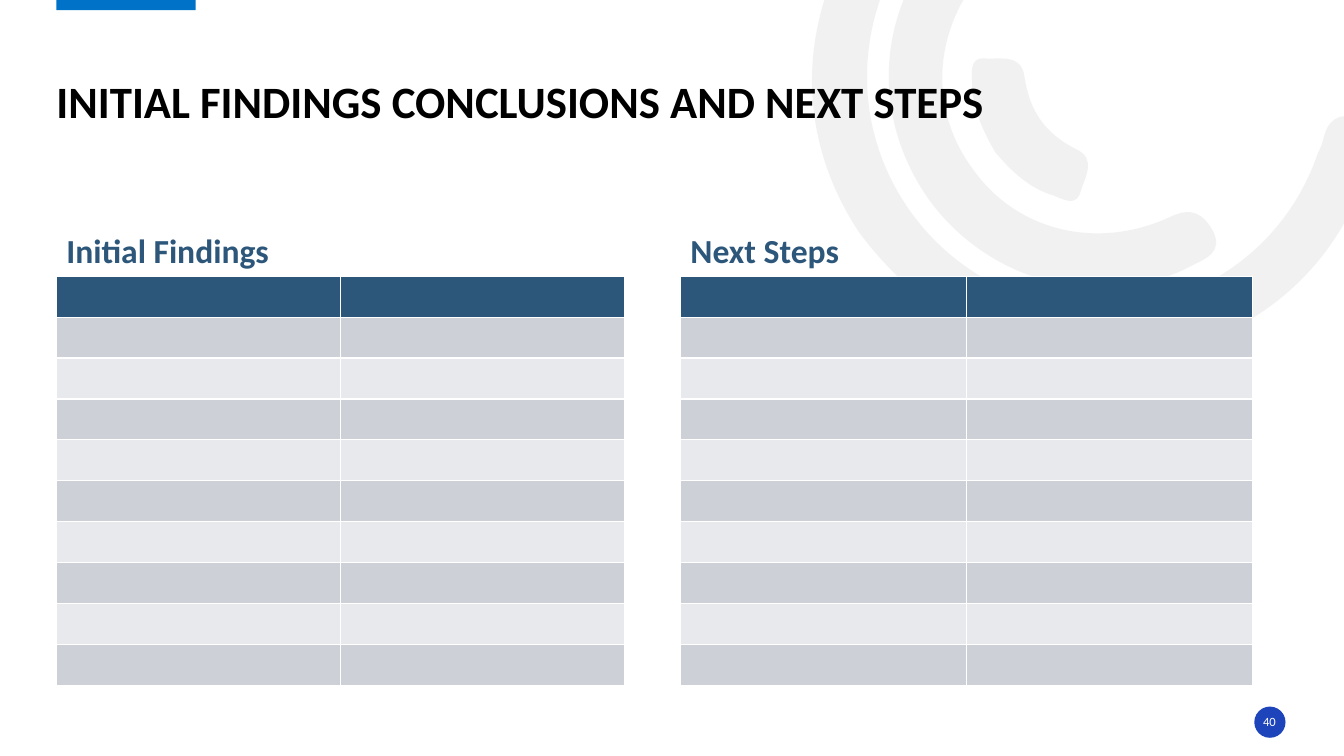
import math

from lxml import etree
from pptx import Presentation
from pptx.dml.color import RGBColor
from pptx.enum import shapes, text
from pptx.oxml import ns
from pptx.util import Inches, Pt

BLACK = RGBColor(0x00, 0x00, 0x00)
WHITE = RGBColor(0xFF, 0xFF, 0xFF)
NAVY = RGBColor(0x2C, 0x56, 0x7A)
BAR_BLUE = RGBColor(0x00, 0x72, 0xC7)
BADGE_BLUE = RGBColor(0x1E, 0x44, 0xBC)
ARC_GREY = RGBColor(0xE7, 0xE6, 0xE6)
BAND_DARK = RGBColor(0xCD, 0xD1, 0xD7)
BAND_LIGHT = RGBColor(0xE8, 0xE9, 0xEC)
FONT = "Calibri"
ARC_ROTATION = 144.2
ROWS, COLUMNS = 10, 2
TABLE_TOP, TABLE_HEIGHT = 2.74, 4.06

presentation = Presentation()
presentation.slide_width = Inches(13.33)
presentation.slide_height = Inches(7.5)
slide = presentation.slides.add_slide(presentation.slide_layouts[6])


def style_shape(shape, color):
    shape.shadow.inherit = False
    shape.fill.solid()
    shape.fill.fore_color.rgb = color
    shape.line.fill.background()


def add_text(box, words, size, color, bold=False, inset=0.0):
    shape = slide.shapes.add_textbox(*(Inches(length) for length in box))
    frame = shape.text_frame
    frame.margin_left = frame.margin_right = Inches(inset)
    frame.margin_top = frame.margin_bottom = Inches(inset / 2)
    frame.word_wrap = True
    frame.vertical_anchor = text.MSO_ANCHOR.BOTTOM
    paragraph = frame.paragraphs[0]
    paragraph.line_spacing = 0.9
    run = paragraph.add_run()
    run.text = words
    run.font.name = FONT
    run.font.size = Pt(size)
    run.font.bold = bold
    run.font.color.rgb = color
    return frame


# Background arcs: a frame, then a start point and Bezier segments as they lie on the slide
arcs = [
    ((8.13, -2.02, 4.85, 6),
     [(8.51, 2.29),
      (7.99, 1.49), (7.87, 0.5), (8.38, -0.5),
      (8.9, -1.52), (9.76, -2.03), (10.9, -2.07),
      (11.05, -2.07), (11.21, -2.1), (11.31, -1.95),
      (11.44, -1.75), (11.27, -1.54), (10.98, -1.54),
      (9.67, -1.54), (8.65, -0.59), (8.6, 0.68),
      (8.56, 1.81), (9.36, 2.81), (10.46, 3.02),
      (11.6, 3.24), (12.7, 2.61), (13.07, 1.52),
      (13.09, 1.48), (13.11, 1.44), (13.12, 1.4),
      (13.16, 1.19), (13.27, 1.11), (13.49, 1.17),
      (13.73, 1.24), (13.67, 1.41), (13.61, 1.56),
      (13.34, 2.45), (12.78, 3.07), (11.91, 3.41),
      (10.7, 3.87), (9.36, 3.45), (8.51, 2.29)]),
    ((9.01, -0.78, 2.13, 4.26),
     [(9.22, 1.99),
      (8.62, 1.15), (8.69, 0.07), (9.4, -0.68),
      (9.51, -0.79), (9.62, -0.95), (9.8, -0.78),
      (9.95, -0.64), (9.97, -0.5), (9.79, -0.32),
      (9.25, 0.26), (9.2, 1.08), (9.65, 1.68),
      (10.08, 2.29), (10.88, 2.49), (11.61, 2.15),
      (11.82, 2.05), (11.93, 2.12), (12.03, 2.29),
      (12.13, 2.5), (11.97, 2.56), (11.83, 2.63),
      (10.96, 3.1), (9.83, 2.82), (9.22, 1.99)]),
    ((9.8, 0.37, 0.78, 1.83),
     [(9.87, 1.51),
      (9.75, 1.3), (9.64, 1.07), (9.64, 0.82),
      (9.64, 0.73), (9.61, 0.57), (9.76, 0.58),
      (9.92, 0.59), (10.13, 0.53), (10.16, 0.76),
      (10.21, 1.1), (10.36, 1.32), (10.67, 1.48),
      (10.88, 1.57), (10.76, 1.76), (10.72, 1.89),
      (10.68, 2.06), (10.55, 1.98), (10.45, 1.94),
      (10.21, 1.87), (10.03, 1.7), (9.87, 1.51)]),
]
cosine = math.cos(math.radians(ARC_ROTATION))
sine = math.sin(math.radians(ARC_ROTATION))
for (left, top, width, height), points in arcs:
    # Turn the points back into the unrotated frame
    local = []
    for x, y in points:
        dx, dy = x - left - width / 2, y - top - height / 2
        local.append((Inches(width / 2 + dx * cosine + dy * sine),
                      Inches(height / 2 - dx * sine + dy * cosine)))
    builder = slide.shapes.build_freeform(*local[0])
    builder.add_line_segments(local[1:], close=True)
    shape = builder.convert_to_shape()
    shape.left, shape.top = Inches(left), Inches(top)
    shape.width, shape.height = Inches(width), Inches(height)
    shape.rotation = ARC_ROTATION
    style_shape(shape, ARC_GREY)

    # Curved segments and transparency
    outline = shape._element.find(".//" + ns.qn("a:pathLst"))[0]
    for child in list(outline):
        outline.remove(child)
    outline.set("w", str(shape.width))
    outline.set("h", str(shape.height))
    segments = [("a:moveTo", local[:1])]
    segments += [("a:cubicBezTo", local[i:i + 3]) for i in range(1, len(local), 3)]
    for tag, corners in segments:
        segment = etree.SubElement(outline, ns.qn(tag))
        for x, y in corners:
            etree.SubElement(segment, ns.qn("a:pt"), x=str(x), y=str(y))
    etree.SubElement(outline, ns.qn("a:close"))
    color_element = shape._element.spPr.find(ns.qn("a:solidFill"))[0]
    etree.SubElement(color_element, ns.qn("a:alpha"), val="53000")

# Accent bar at the top edge
bar = slide.shapes.add_shape(shapes.MSO_SHAPE.RECTANGLE,
                             Inches(0.56), Inches(-0.02), Inches(1.38), Inches(0.12))
style_shape(bar, BAR_BLUE)

# Slide number badge
badge = slide.shapes.add_shape(shapes.MSO_SHAPE.OVAL,
                               Inches(12.44), Inches(7.01), Inches(0.31), Inches(0.31))
style_shape(badge, BADGE_BLUE)
number = add_text((12.43, 7.06, 0.32, 0.2), "40", 9, WHITE)
number.vertical_anchor = text.MSO_ANCHOR.MIDDLE
number.paragraphs[0].alignment = text.PP_ALIGN.CENTER
number.paragraphs[0].line_spacing = 1.0

# Title
add_text((0.56, 0.26, 12.19, 1.01), "INITIAL FINDINGS CONCLUSIONS AND NEXT STEPS",
         32, BLACK, bold=True)

# Headed tables; the default table style draws the white borders
for heading, left, width in [("Initial Findings", 0.56, 5.64), ("Next Steps", 6.75, 5.67)]:
    add_text((left, 1.84, width, 0.9), heading, 24, NAVY, bold=True, inset=0.1)
    table = slide.shapes.add_table(ROWS, COLUMNS, Inches(left), Inches(TABLE_TOP),
                                   Inches(width), Inches(TABLE_HEIGHT)).table
    for row in range(ROWS):
        for column in range(COLUMNS):
            fill = table.cell(row, column).fill
            fill.solid()
            if row == 0:
                fill.fore_color.rgb = NAVY
            else:
                fill.fore_color.rgb = BAND_DARK if row % 2 else BAND_LIGHT

presentation.save("out.pptx")
